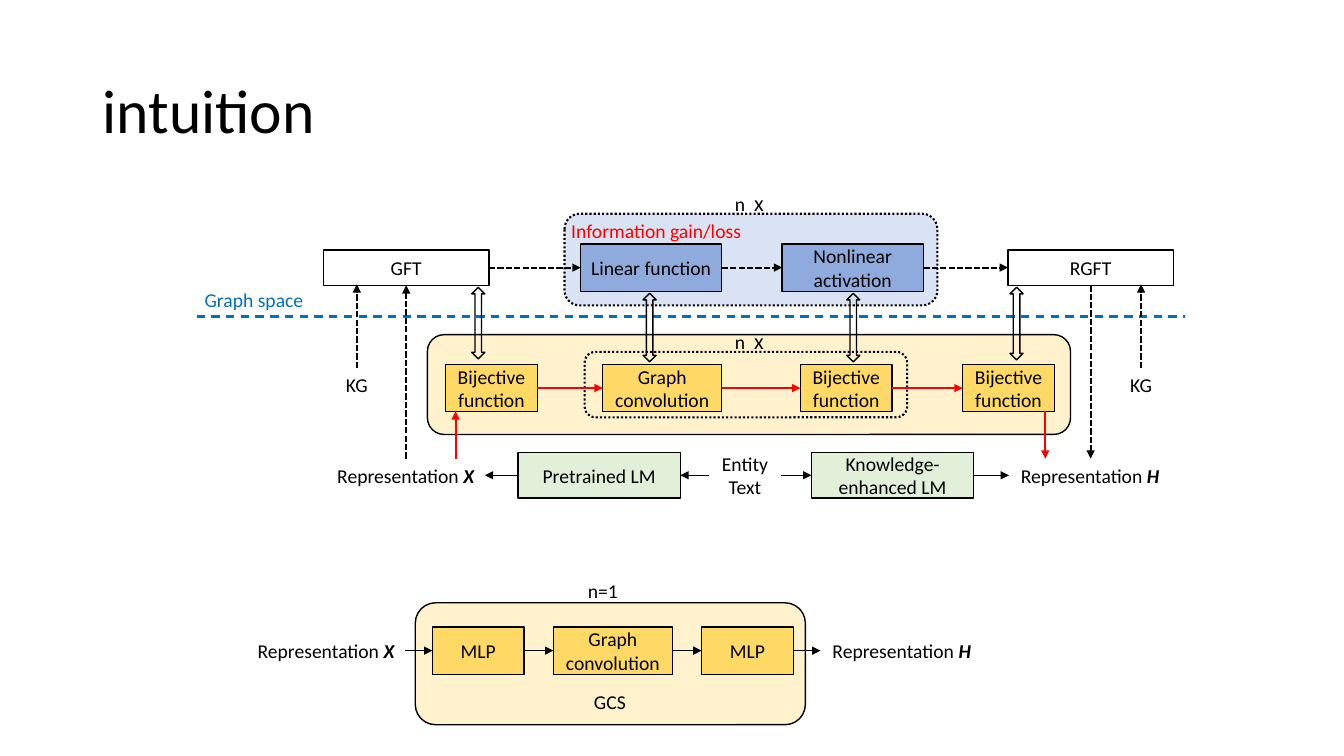
"""Builds the intuition slide: graph space and feature space pipelines with the GCS simplification."""
import collections
import itertools

import lxml.etree
import pptx
import pptx.dml.color
import pptx.enum.dml
import pptx.enum.shapes
import pptx.enum.text
import pptx.oxml.ns
import pptx.util

COLUMNS, ROWS = 133.33, 75
CELL = pptx.util.Inches(0.1)
COLORS = {
    "black": "000000", "red": "FF0000", "blue": "0070C0",
    "sky": "DAE3F3", "cream": "FFF2CC", "steel": "8FAADC",
    "gold": "FFD966", "mint": "E2F0D9",
}
FONTS = {
    "label": {"name": "Calibri", "size": pptx.util.Pt(14)},
    "symbol": {"name": "Calibri", "size": pptx.util.Pt(14), "bold": True, "italic": True},
    "times": {"name": "Noto Sans CJK SC", "size": pptx.util.Pt(14)},
    "title": {"name": "Calibri", "size": pptx.util.Pt(44)},
}
DASH = pptx.enum.dml.MSO_LINE.DASH
SHORT_DASH = pptx.enum.dml.MSO_LINE.SQUARE_DOT
DOTS = pptx.enum.dml.MSO_LINE.ROUND_DOT
STROKES = {
    "solid": ("black", {"width": pptx.util.Pt(1)}),
    "dotted": ("black", {"width": pptx.util.Pt(1.5), "dash_style": DOTS}),
    "dashed": ("black", {"width": pptx.util.Pt(1.5), "dash_style": SHORT_DASH}),
    "divider": ("blue", {"width": pptx.util.Pt(1.5), "dash_style": DASH}),
    "flow": ("red", {"width": pptx.util.Pt(1.5)}),
}
FRAME = {
    "word_wrap": True,
    "vertical_anchor": pptx.enum.text.MSO_ANCHOR.MIDDLE,
}
SHAPES = pptx.enum.shapes.MSO_SHAPE
Step = collections.namedtuple("Step", "left width height label fill framed")

REPRESENTATION_X = [("Representation ", "label"), ("X", "symbol")]
REPRESENTATION_H = [("Representation ", "label"), ("H", "symbol")]
REPEATS = [("n ", "label"), ("ⅹ", "times")]


def rgb(color):
    """Return the named palette colour."""
    return pptx.dml.color.RGBColor.from_string(COLORS[color])


def apply(target, values):
    """Set every attribute in values on target."""
    for name, value in values.items():
        setattr(target, name, value)


def cells(*counts):
    """Turn counts of grid cells into lengths."""
    return [round(count * CELL) for count in counts]


def add_stroke(line, stroke):
    """Format an outline or connector line."""
    color, values = STROKES[stroke]
    line.color.rgb = rgb(color)
    apply(line, values)


def write(frame, runs, color="black", align=pptx.enum.text.PP_ALIGN.CENTER):
    """Fill a text frame with one paragraph of formatted runs."""
    apply(frame, FRAME)
    paragraph = frame.paragraphs[0]
    paragraph.alignment = align
    for words, style in [(runs, "label")] if isinstance(runs, str) else runs:
        run = paragraph.add_run()
        run.text = words
        apply(run.font, FONTS[style])
        run.font.color.rgb = rgb(color)
        lxml.etree.SubElement(
            run.font._element, pptx.oxml.ns.qn("a:ea"), typeface=FONTS[style]["name"])
    return paragraph


def add_label(slide, left, middle, width, runs, color="black", height=3.4):
    """Add a centred text label around a middle row."""
    label = slide.shapes.add_textbox(*cells(left, middle - height / 2, width, height))
    write(label.text_frame, runs, color)


def add_panel(slide, left, top, width, height, fill=None, stroke="solid",
              kind=SHAPES.ROUNDED_RECTANGLE):
    """Add an outlined shape, optionally filled."""
    panel = slide.shapes.add_shape(kind, *cells(left, top, width, height))
    panel.shadow.inherit = False
    if fill:
        panel.fill.solid()
        panel.fill.fore_color.rgb = rgb(fill)
    else:
        panel.fill.background()
    add_stroke(panel.line, stroke)
    return panel


def add_line(slide, start, end, stroke, arrow=True):
    """Add a straight line, with an arrowhead at its end by default."""
    line = slide.shapes.add_connector(
        pptx.enum.shapes.MSO_CONNECTOR.STRAIGHT, *cells(*start, *end))
    add_stroke(line.line, stroke)
    if arrow:
        lxml.etree.SubElement(
            line.line._get_or_add_ln(), pptx.oxml.ns.qn("a:tailEnd"), type="triangle")
    lxml.etree.SubElement(line._element.spPr, pptx.oxml.ns.qn("a:effectLst"))


def add_steps(slide, steps, middle):
    """Draw a row of steps centred on one row of the grid."""
    for step in steps:
        if step.framed:
            box = add_panel(slide, step.left, middle - step.height / 2, step.width,
                            step.height, step.fill, kind=SHAPES.RECTANGLE)
            write(box.text_frame, step.label)
        else:
            add_label(slide, step.left, middle, step.width, step.label, height=step.height)


def link_steps(slide, steps, middle, stroke):
    """Join consecutive steps edge to edge with arrows."""
    for source, target in itertools.pairwise(steps):
        if source.left < target.left:
            ends = source.left + source.width, target.left
        else:
            ends = source.left, target.left + target.width
        add_line(slide, (ends[0], middle), (ends[1], middle), stroke)


def graph_space(slide):
    """Draw the spectral pipeline above the divider."""
    middle = 26.55
    add_line(slide, (19.5, 31.4), (117.6, 31.4), "divider", arrow=False)
    add_label(slide, 18.5, 29.7, 13.4, "Graph space", "blue")
    add_panel(slide, 56, 21.2, 37, 9.1, "sky", "dotted")
    steps = [
        Step(32.1, 16.4, 3.5, "GFT", None, True),
        Step(57.6, 14, 4.7, "Linear function", "steel", True),
        Step(77.6, 14, 4.7, "Nonlinear activation", "steel", True),
        Step(100, 16.4, 3.5, "RGFT", None, True),
    ]
    add_steps(slide, steps, middle)
    link_steps(slide, steps, middle, "dashed")
    add_label(slide, 54.4, 22.9, 21.4, "Information gain/loss", "red")
    add_label(slide, 67.5, 20.2, 14.2, REPEATS)


def feature_space(slide):
    """Draw the bijective pipeline below the divider."""
    middle = 38.5
    add_panel(slide, 42.4, 33.2, 63.8, 9.9, "cream")
    add_panel(slide, 58, 34.9, 32, 6.5, stroke="dotted")
    steps = [
        Step(44.2, 9.1, 4.7, "Bijective function", "gold", True),
        Step(59.8, 11.8, 4.7, "Graph convolution", "gold", True),
        Step(79.4, 9.1, 4.7, "Bijective function", "gold", True),
        Step(95.5, 9.1, 4.7, "Bijective function", "gold", True),
    ]
    add_steps(slide, steps, middle)
    link_steps(slide, steps, middle, "flow")
    add_label(slide, 67.5, 33.9, 14.2, REPEATS)


def language_models(slide):
    """Draw the entity text fanning out through both language models."""
    middle = 47.15
    steps = [
        Step(32.4, 15.7, 3.4, REPRESENTATION_X, None, False),
        Step(51.4, 16.1, 4.5, "Pretrained LM", "mint", True),
        Step(70.3, 7.2, 5.7, "Entity Text", None, False),
        Step(80.5, 16.1, 4.5, "Knowledge-enhanced LM", "mint", True),
        Step(100.1, 16.1, 3.4, REPRESENTATION_H, None, False),
    ]
    add_steps(slide, steps, middle)
    link_steps(slide, steps[2::-1], middle, "solid")
    link_steps(slide, steps[2:], middle, "solid")


def vertical_links(slide):
    """Draw the arrows between the rows and the knowledge graph inputs."""
    for column, start, end, stroke in [
            (40.3, 45.5, 28.3, "dashed"), (108.2, 28.3, 45.5, "dashed"),
            (45.2, 45.5, 40.8, "flow"), (103.7, 40.8, 45.5, "flow")]:
        add_line(slide, (column, start), (column, end), stroke)
    for column in (35.4, 113.2):
        add_line(slide, (column, 36.5), (column, 28.2), "dashed")
        add_label(slide, column - 5.35, 38.2, 10.7, "KG")
    for left, top, height in [(46.8, 28.5, 7.1), (63.8, 29.1, 6.8),
                              (84, 29.1, 6.8), (100.2, 28.5, 7.2)]:
        add_panel(slide, left, top, 1.3, height, kind=SHAPES.UP_DOWN_ARROW)


def simplified_model(slide):
    """Draw the single-layer GCS pipeline."""
    middle = 64.55
    add_panel(slide, 41.2, 59.8, 38.7, 12.1, "cream")
    steps = [
        Step(24.5, 15.7, 3.4, REPRESENTATION_X, None, False),
        Step(42.9, 9.1, 4.7, "MLP", "gold", True),
        Step(54.9, 11.8, 4.7, "Graph convolution", "gold", True),
        Step(69.6, 9.1, 4.7, "MLP", "gold", True),
        Step(81.4, 16.1, 3.4, REPRESENTATION_H, None, False),
    ]
    add_steps(slide, steps, middle)
    link_steps(slide, steps, middle, "solid")
    add_label(slide, 57.4, 69.6, 6.2, "GCS")
    add_label(slide, 52.7, 58.6, 14.2, "n=1")


def main():
    """Build and save the slide."""
    deck = pptx.Presentation()
    deck.slide_width, deck.slide_height = cells(COLUMNS, ROWS)
    slide = deck.slides.add_slide(deck.slide_layouts[6])
    title = slide.shapes.add_textbox(*cells(9.2, 4, 115, 14.5))
    heading = write(title.text_frame, [("intuition", "title")],
                    align=pptx.enum.text.PP_ALIGN.LEFT)
    heading.line_spacing = 0.9
    for draw in (graph_space, feature_space, language_models, vertical_links, simplified_model):
        draw(slide)
    deck.save("out.pptx")


if __name__ == "__main__":
    main()
